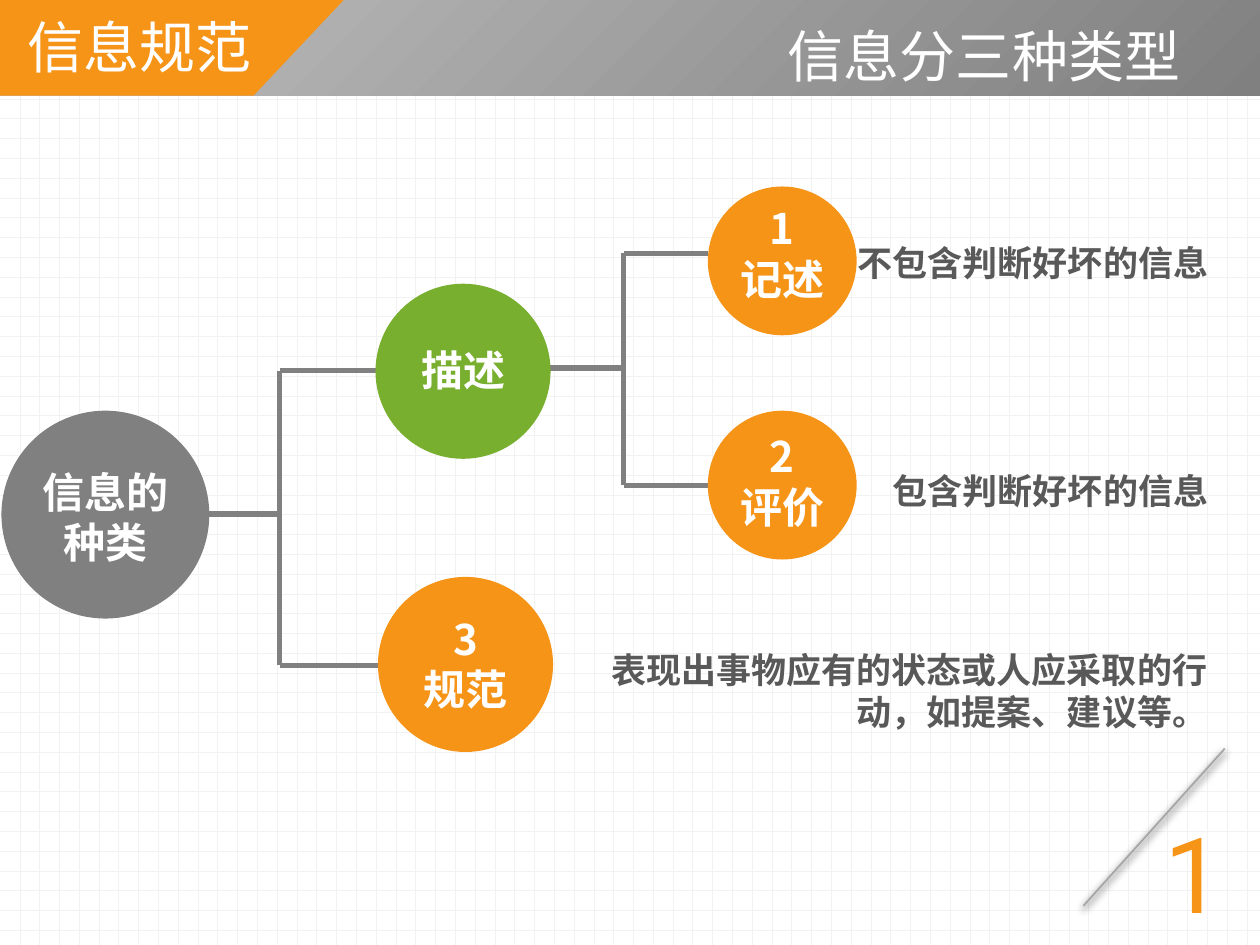
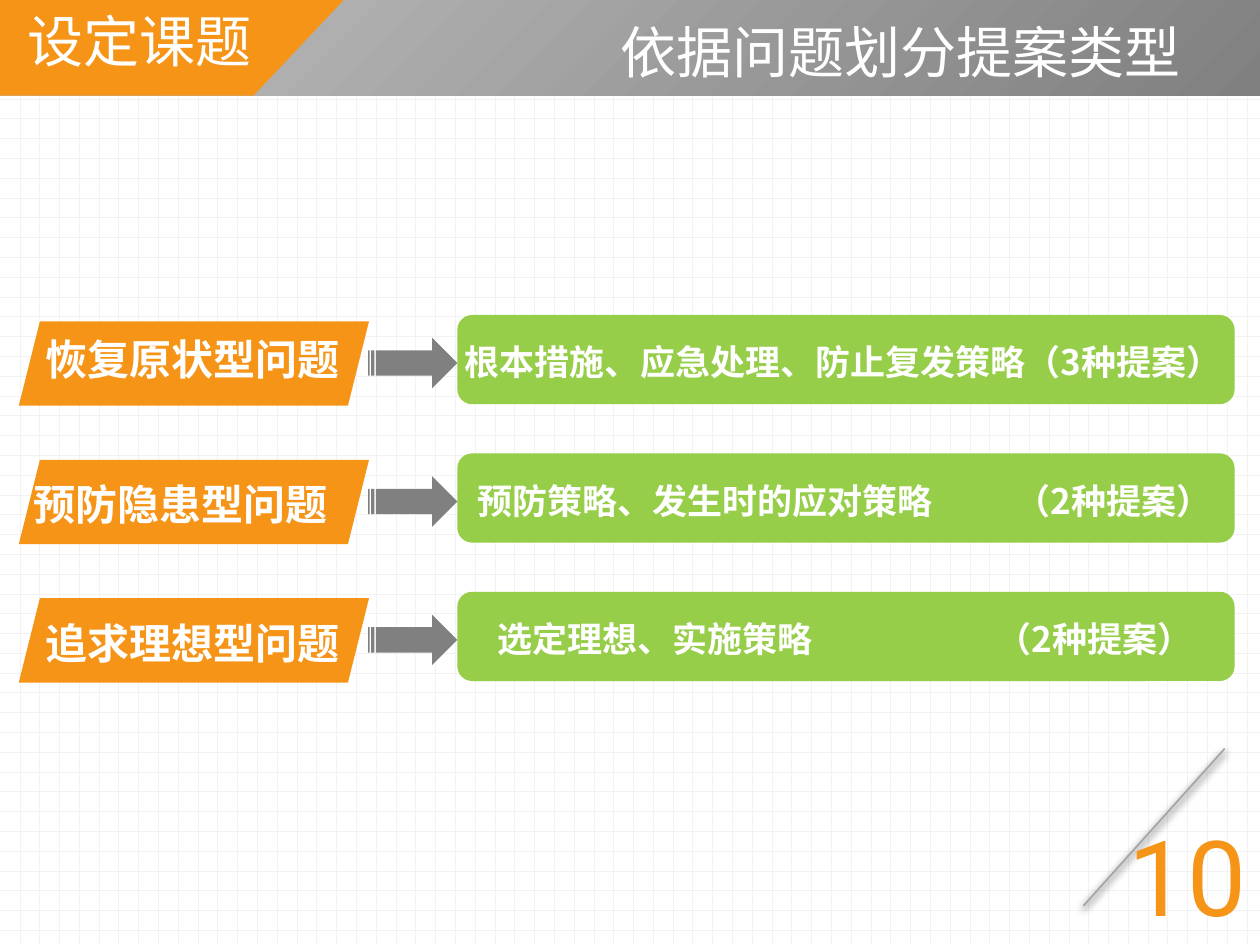
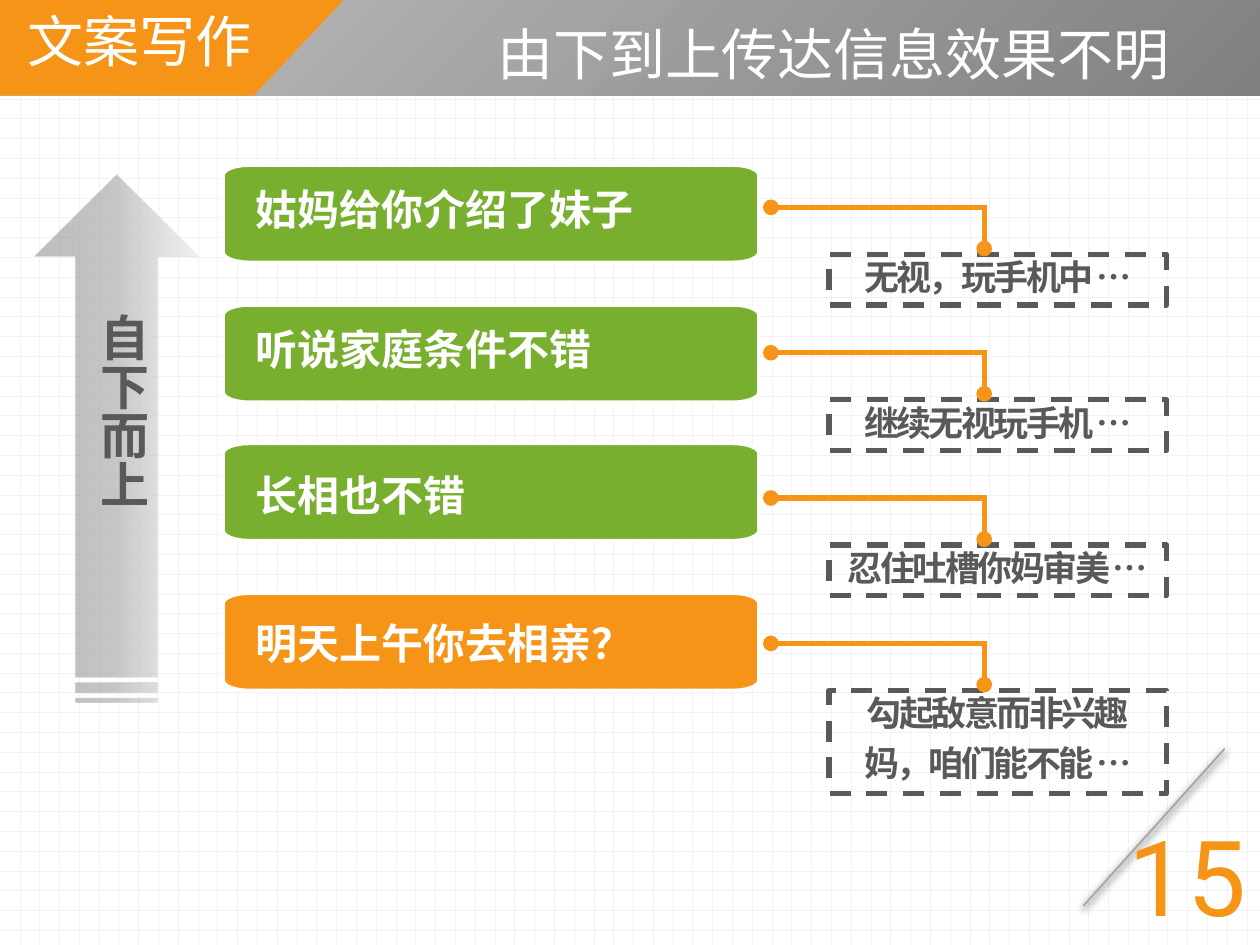
import math

from pptx import Presentation
from pptx.dml.color import RGBColor
from pptx.enum.dml import MSO_LINE, MSO_PATTERN
from pptx.enum.shapes import MSO_CONNECTOR, MSO_SHAPE
from pptx.enum.text import MSO_ANCHOR, MSO_AUTO_SIZE, PP_ALIGN
from pptx.oxml import parse_xml
from pptx.oxml.ns import nsdecls, qn
from pptx.util import Cm, Pt

ORANGE = RGBColor(0xF6, 0x94, 0x18)
GREEN = RGBColor(0x78, 0xAF, 0x2F)
LIME = RGBColor(0x96, 0xCD, 0x49)
GRAY = RGBColor(0x80, 0x80, 0x80)
MID_GRAY = RGBColor(0xB0, 0xB0, 0xB0)
SILVER = RGBColor(0xBF, 0xBF, 0xBF)
PALE_GRAY = RGBColor(0xE4, 0xE4, 0xE4)
SLASH_GRAY = RGBColor(0xA6, 0xA6, 0xA6)
DARK = RGBColor(0x59, 0x59, 0x59)
GRID = RGBColor(0xF2, 0xF2, 0xF2)
WHITE = RGBColor(0xFF, 0xFF, 0xFF)

FONT = "Noto Sans CJK SC"
SECTION_FONT = "Noto Sans CJK JP"
NUMBER_FONT = "Roboto"

LEFT, CENTER, RIGHT = PP_ALIGN.LEFT, PP_ALIGN.CENTER, PP_ALIGN.RIGHT
TOP, MIDDLE = MSO_ANCHOR.TOP, MSO_ANCHOR.MIDDLE
OVAL, RECT = MSO_SHAPE.OVAL, MSO_SHAPE.RECTANGLE
ROUNDED, SLANTED = MSO_SHAPE.ROUNDED_RECTANGLE, MSO_SHAPE.PARALLELOGRAM
STRIPED_ARROW = MSO_SHAPE.STRIPED_RIGHT_ARROW
STRAIGHT = MSO_CONNECTOR.STRAIGHT
DASH = MSO_LINE.DASH
DOT_GRID = MSO_PATTERN.DOTTED_GRID
NO_AUTOFIT = MSO_AUTO_SIZE.NONE

SLIDE_WIDTH, SLIDE_HEIGHT = 25.4, 19.05
BAND_HEIGHT = 1.93
SLASH_SHADOW = (
    '<a:outerShdw blurRad="63500" dist="25400" dir="5400000" algn="t" rotWithShape="0">'
    '<a:srgbClr val="000000"><a:alpha val="92000"/></a:srgbClr></a:outerShdw>'
)


def lengths(values):
    return [Cm(value) for value in values]


def write(frame, text, size, color, bold=False, align=LEFT, font=FONT, anchor=TOP):
    frame.text = text
    frame.word_wrap = True
    frame.auto_size = NO_AUTOFIT
    frame.vertical_anchor = anchor
    for paragraph in frame.paragraphs:
        paragraph.alignment = align
        for run in paragraph.runs:
            run.font.size = Pt(size)
            run.font.bold = bold
            run.font.color.rgb = color
            run.font.name = font
            east_asian = parse_xml(f'<a:ea {nsdecls("a")} typeface="{font}"/>')
            run.font._element.find(qn("a:latin")).addnext(east_asian)


def add_text(slide, box, text, size, color, **style):
    label = slide.shapes.add_textbox(*lengths(box))
    write(label.text_frame, text, size, color, **style)
    return label


def add_figure(slide, kind, box, color):
    figure = slide.shapes.add_shape(kind, *lengths(box))
    figure.shadow.inherit = False
    figure.fill.solid()
    figure.fill.fore_color.rgb = color
    figure.line.fill.background()
    return figure


def add_outline(slide, points, color):
    builder = slide.shapes.build_freeform(*lengths(points[0]))
    builder.add_line_segments([lengths(point) for point in points[1:]])
    outline = builder.convert_to_shape()
    outline.shadow.inherit = False
    outline.fill.solid()
    outline.fill.fore_color.rgb = color
    outline.line.fill.background()
    return outline


def add_line(slide, start, end, color, width=3, oval_start=False, effect=""):
    line = slide.shapes.add_connector(STRAIGHT, *lengths(start + end))
    line.line.color.rgb = color
    line.line.width = Pt(width)
    properties = line.element.spPr
    if oval_start:
        head = parse_xml(f'<a:headEnd {nsdecls("a")} type="oval"/>')
        properties.find(qn("a:ln")).append(head)
    properties.append(parse_xml(f'<a:effectLst {nsdecls("a")}>{effect}</a:effectLst>'))
    return line


def set_gradient(figure, stops, direction):
    stop_xml = "".join(
        f'<a:gs pos="{position * 1000}"><a:srgbClr val="{color}">'
        f'<a:alpha val="{opacity * 1000}"/></a:srgbClr></a:gs>'
        for position, color, opacity in stops
    )
    gradient = parse_xml(
        f'<a:gradFill {nsdecls("a")} rotWithShape="1">'
        f"<a:gsLst>{stop_xml}</a:gsLst>{direction}</a:gradFill>"
    )
    properties = figure.element.spPr
    properties.replace(properties.find(qn("a:solidFill")), gradient)


def build_frame(layout, slide):
    for placeholder in list(layout.placeholders):
        if placeholder.placeholder_format.idx != 0:
            placeholder.element.getparent().remove(placeholder.element)
    slash = add_line(slide, (24.69, 15.09), (21.84, 18.26), SLASH_GRAY, 1, effect=SLASH_SHADOW)
    band = add_figure(slide, RECT, (0, 0, SLIDE_WIDTH, BAND_HEIGHT), GRAY)
    set_gradient(
        band,
        [(0, GRAY, 100), (100, SILVER, 100)],
        '<a:path path="circle"><a:fillToRect l="100000" t="100000"/></a:path>',
    )
    corner = add_outline(
        slide, [(0, 0), (6.93, 0), (5.11, BAND_HEIGHT), (0, BAND_HEIGHT), (0, 0)], ORANGE
    )
    for part in (slash, band, corner):
        layout.shapes.element.append(part.element)


def add_headings(slide, title, title_box, section, section_box, number, number_box,
                 align=CENTER, anchor=MIDDLE):
    heading = slide.shapes.title
    heading.left, heading.top, heading.width, heading.height = lengths(title_box)
    write(heading.text_frame, title, 32, WHITE, align=align, anchor=anchor)
    add_text(slide, section_box, section, 32, WHITE, font=SECTION_FONT)
    add_text(slide, number_box, number, 60, ORANGE, font=NUMBER_FONT)


def add_node(slide, left, top, size, color, text, text_top, text_height):
    add_figure(slide, OVAL, (left, top, size, size), color)
    text_width = 3.53
    text_left = left + (size - text_width) / 2
    add_text(slide, (text_left, text_top, text_width, text_height), text, 24, WHITE,
             bold=True, align=CENTER)


def add_bracket(slide, stem, trunk_x, upper, lower):
    add_line(slide, stem, (trunk_x, stem[1]), GRAY)
    add_line(slide, (trunk_x, lower[1]), (trunk_x, upper[1]), GRAY)
    for branch in (upper, lower):
        add_line(slide, (trunk_x, branch[1]), branch, GRAY)


def add_card(slide, left, top, width, height, color):
    radius_x, radius_y, steps = 0.53, 0.2, 6
    right, bottom = left + width - radius_x, top + height - radius_y
    centers = [
        (right, bottom),
        (left + radius_x, bottom),
        (left + radius_x, top + radius_y),
        (right, top + radius_y),
    ]
    points = []
    for quarter, (x, y) in enumerate(centers):
        for step in range(steps + 1):
            angle = (quarter + step / steps) * math.pi / 2
            points.append((x + radius_x * math.cos(angle), y + radius_y * math.sin(angle)))
    card = add_outline(slide, points + points[:1], color)
    card.line.color.rgb = WHITE
    card.line.width = Pt(2)


def add_proposal(slide, left, top, text, tab):
    proposal = add_text(slide, (left, top, SLIDE_WIDTH - left, 1.12), text, 20, WHITE,
                        bold=True, anchor=MIDDLE)
    if tab:
        stops = parse_xml(
            f'<a:tabLst {nsdecls("a")}><a:tab pos="{Cm(tab)}" algn="l"/></a:tabLst>'
        )
        proposal.text_frame.paragraphs[0]._p.get_or_add_pPr().append(stops)


def add_reaction(slide, top, height, text):
    reaction = add_figure(slide, RECT, (16.71, top, 6.81, height), WHITE)
    reaction.fill.background()
    reaction.line.color.rgb = DARK
    reaction.line.width = Pt(3)
    reaction.line.dash_style = DASH
    write(reaction.text_frame, text, 20, DARK, bold=True, align=CENTER)
    for paragraph in reaction.text_frame.paragraphs:
        paragraph.line_spacing = 0.9
        paragraph.space_after = Pt(7)
        for run in paragraph.runs:
            run.font._element.set("spc", "-150")
    level = top - 0.95
    add_line(slide, (15.54, level), (19.89, level), ORANGE, oval_start=True)
    add_line(slide, (19.84, top - 0.12), (19.84, level), ORANGE, oval_start=True)


def build_information_types(slide):
    add_headings(slide, "信息分三种类型", (10.11, 0.3, 13.94, 1.63),
                 "信息规范", (0.3, 0.13, 9.19, 1.63),
                 "1", (23.22, 16.18, 1.78, 2.82), RIGHT, TOP)
    add_bracket(slide, (4.22, 10.36), 5.64, (7.57, 7.47), (7.62, 13.41))
    add_bracket(slide, (11.02, 7.42), 12.57, (14.27, 5.11), (14.27, 9.78))
    nodes = [
        (0.03, 8.28, 4.19, GRAY, "信息的种类", 9.27, 2.31),
        (7.57, 5.72, 3.53, GREEN, "描述", 6.83, 1.27),
        (7.62, 11.63, 3.53, ORANGE, "3\n规范", 12.24, 2.31),
        (14.27, 3.76, 3, ORANGE, "1\n记述", 3.96, 2.31),
        (14.27, 8.28, 3, ORANGE, "2\n评价", 8.56, 2.31),
    ]
    for node in nodes:
        add_node(slide, *node)
    explanations = [
        ((17.04, 4.75, 7.95, 1.12), "不包含判断好坏的信息", LEFT),
        ((17.07, 9.35, 7.54, 1.12), "包含判断好坏的信息", RIGHT),
        ((11.56, 12.95, 13.03, 1.96), "表现出事物应有的状态或人应采取的行动，如提案、建议等。", RIGHT),
    ]
    for box, text, align in explanations:
        add_text(slide, box, text, 20, DARK, bold=True, align=align)


def build_proposal_types(slide):
    add_headings(slide, "依据问题划分提案类型", (10.95, 0.15, 14.43, 1.75),
                 "设定课题", (0.3, 0, 9.19, 1.63),
                 "10", (22.5, 16.23, 3.4, 2.82))
    problems = [
        ("恢复原状型问题", 0.64, 6.6, "根本措施、应急处理、防止复发策略（3种提案）", 9.12, None),
        ("预防隐患型问题", 0.38, 9.53, "预防策略、发生时的应对策略\t（2种提案）", 9.37, 10.85),
        ("追求理想型问题", 0.64, 12.32, "选定理想、实施策略\t（2种提案）", 9.78, 10.06),
    ]
    for row, (problem, left, top, proposal, proposal_left, tab) in enumerate(problems):
        offset = row * 2.79
        add_figure(slide, SLANTED, (0.38, 6.48 + offset, 7.06, 1.7), ORANGE)
        add_figure(slide, ROUNDED, (9.22, 6.35 + offset, 15.67, 1.8), LIME)
        add_figure(slide, STRIPED_ARROW, (7.42, 6.81 + offset, 1.8, 1.02), GRAY)
        add_proposal(slide, proposal_left, 6.73 + offset, proposal, tab)
        add_text(slide, (left, top, 6.5, 1.27), problem, 24, WHITE, bold=True, align=CENTER)


def build_bottom_up(slide):
    add_headings(slide, "由下到上传达信息效果不明", (9.5, 0, 14.63, 2.13),
                 "文案写作", (0.3, 0, 6.2, 1.63),
                 "15", (22.5, 16.23, 3.4, 2.82))
    messages = [
        ("姑妈给你介绍了妹子", 3.33, 3.58, GREEN),
        ("听说家庭条件不错", 6.15, 6.4, GREEN),
        ("长相也不错", 8.94, 9.35, GREEN),
        ("明天上午你去相亲？", 11.96, 12.32, ORANGE),
    ]
    for message, card_top, text_top, color in messages:
        add_card(slide, 4.5, card_top, 10.8, 1.96, color)
        add_text(slide, (4.9, text_top, 9.91, 1.27), message, 24, WHITE, bold=True)

    upward = add_figure(slide, STRIPED_ARROW, (-2.97, 7.19, 10.64, 3.3), GRAY)
    upward.rotation = 270
    set_gradient(
        upward,
        [(0, GRAY, 49), (50, MID_GRAY, 70), (100, PALE_GRAY, 52)],
        '<a:lin ang="5400000" scaled="0"/>',
    )
    direction = add_text(slide, (1.5, 6.07, 1.7, 6.2), "自下而上", 28, DARK, bold=True)
    direction.element.txBody.bodyPr.set("vert", "eaVert")

    reactions = [
        ("无视，玩手机中 …", 1.02),
        ("继续无视玩手机 …", 1.02),
        ("忍住吐槽你妈审美 …", 1.02),
        ("勾起敌意而非兴趣\n妈，咱们能不能 …", 2.08),
    ]
    for row, (reaction, height) in enumerate(reactions):
        add_reaction(slide, 5.13 + row * 2.93, height, reaction)


def main():
    deck = Presentation()
    deck.slide_width, deck.slide_height = lengths((SLIDE_WIDTH, SLIDE_HEIGHT))
    background = deck.slide_master.background.fill
    background.patterned()
    background.pattern = DOT_GRID
    background.fore_color.rgb = GRID
    background.back_color.rgb = WHITE

    title_only = deck.slide_layouts[5]
    builders = (build_information_types, build_proposal_types, build_bottom_up)
    slides = [deck.slides.add_slide(title_only) for _ in builders]
    build_frame(title_only, slides[0])
    for build, slide in zip(builders, slides):
        build(slide)
    deck.save("out.pptx")


if __name__ == "__main__":
    main()
